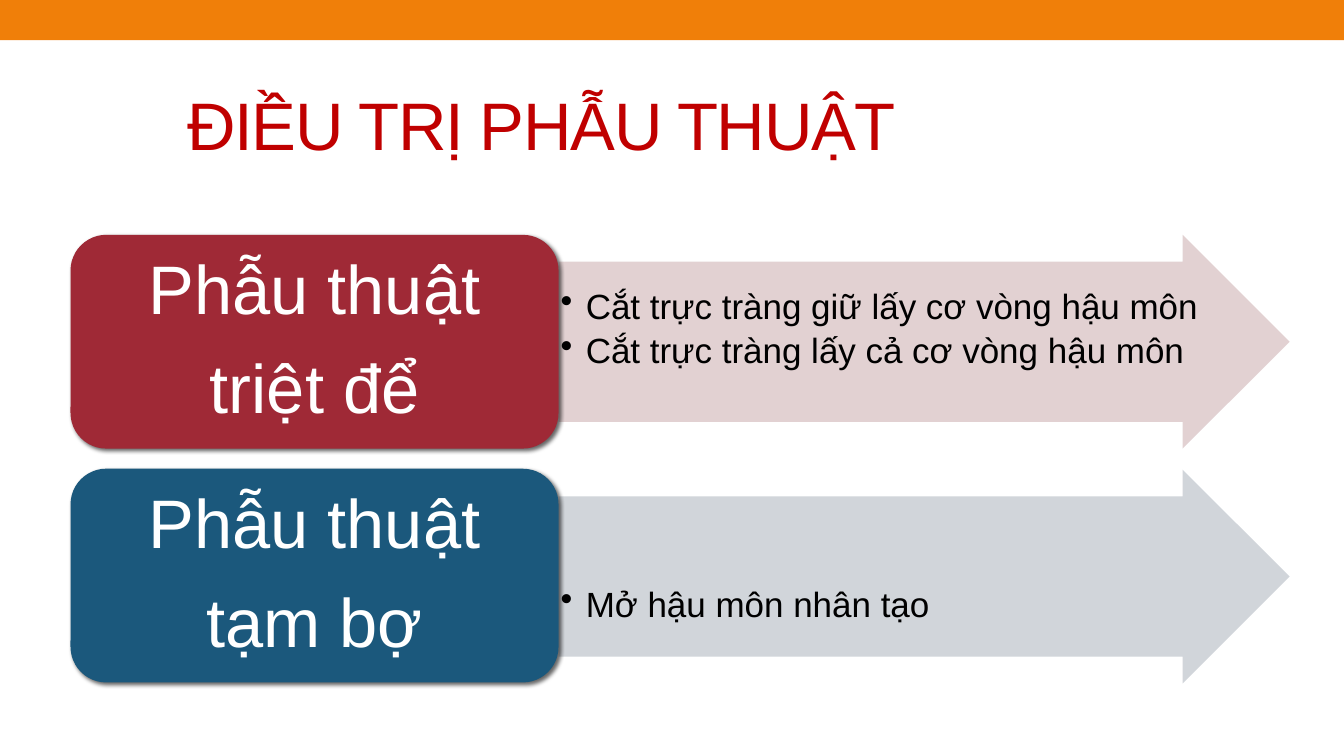
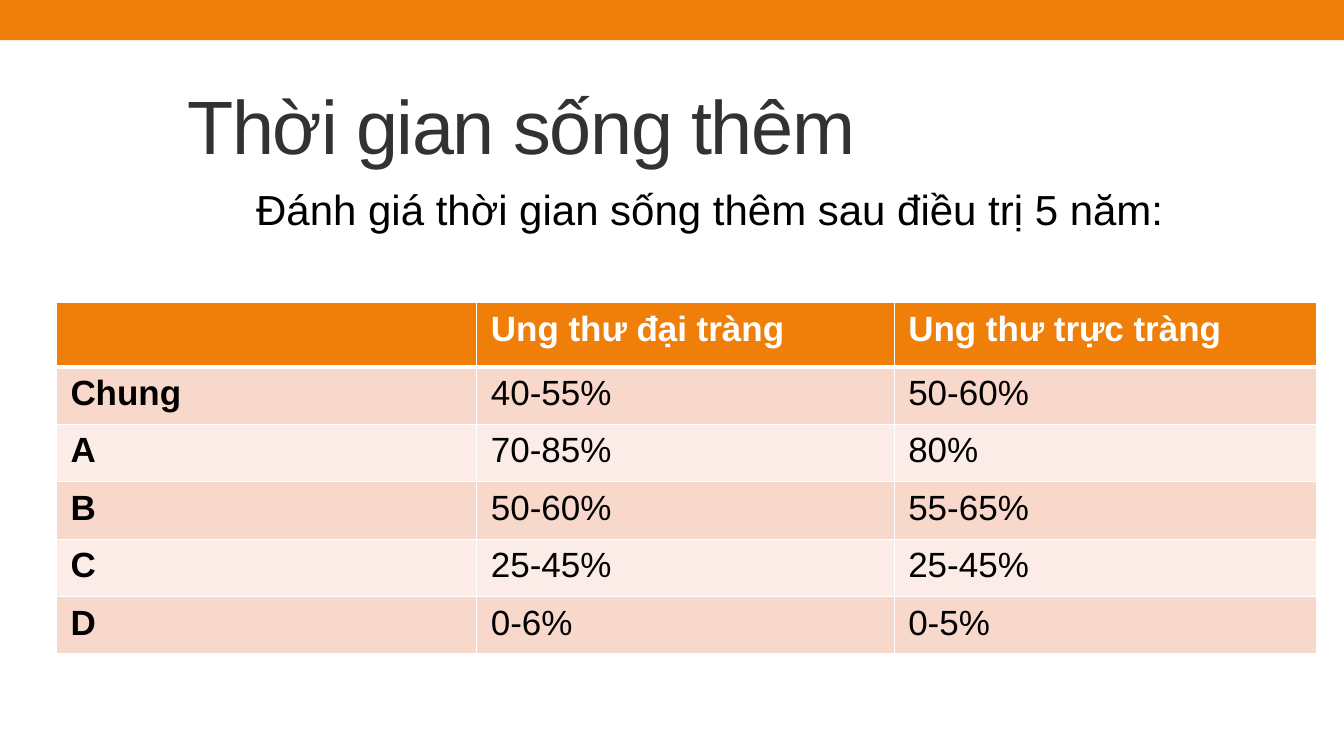
from lxml import etree
from pptx import Presentation
from pptx.dml.color import RGBColor
from pptx.enum import shapes, text
from pptx.oxml import ns
from pptx.util import Inches, Pt

ORANGE = RGBColor(0xF0, 0x7F, 0x09)
RED = RGBColor(0xC0, 0x00, 0x00)
CHARCOAL = RGBColor(0x32, 0x32, 0x32)
BLACK = RGBColor(0x00, 0x00, 0x00)
WHITE = RGBColor(0xFF, 0xFF, 0xFF)
CRIMSON = RGBColor(0x9F, 0x29, 0x36)
PALE_RED = RGBColor(0xDF, 0xCD, 0xCE)
NAVY = RGBColor(0x1B, 0x58, 0x7C)
PALE_BLUE = RGBColor(0xCC, 0xD1, 0xD7)
ROW_DARK = RGBColor(0xF9, 0xD8, 0xCC)
ROW_LIGHT = RGBColor(0xFC, 0xEC, 0xE7)

TITLE_LAYOUT, CONTENT_LAYOUT = 5, 1
LEFT = text.PP_ALIGN.LEFT
CENTER = text.PP_ALIGN.CENTER
TOP = text.MSO_ANCHOR.TOP
MIDDLE = text.MSO_ANCHOR.MIDDLE


def set_all(target, values):
    """Set each named attribute of the target."""
    for name, value in values.items():
        setattr(target, name, value)


def add_xml(parent, tag, **attributes):
    """Append a DrawingML element and return it."""
    values = {name: str(value) for name, value in attributes.items()}
    return etree.SubElement(parent, ns.qn(tag), values)


class Deck:
    """Hold the shared style and the current slide."""

    font_name = "Arial"

    def __init__(self):
        self.presentation = Presentation()
        self.presentation.slide_width = Inches(13.33)
        self.presentation.slide_height = Inches(7.5)
        self.slide = None

    def add_slide(self, layout):
        """Start a slide from the numbered layout."""
        layouts = self.presentation.slide_layouts
        self.slide = self.presentation.slides.add_slide(layouts[layout])

    def add_master_band(self):
        """Place the top band behind everything on the master."""
        band = self.add_shape(shapes.MSO_SHAPE.RECTANGLE, (0, 0, 13.33, 0.4), ORANGE)
        self.presentation.slide_master.shapes.element.insert(2, band.element)

    def place(self, shape, box):
        """Move and size a shape in inches."""
        names = ("left", "top", "width", "height")
        set_all(shape, dict(zip(names, map(Inches, box))))

    def add_shape(self, kind, box, color):
        """Add a flat shape without an outline."""
        shape = self.slide.shapes.add_shape(kind, *map(Inches, box))
        shape.shadow.inherit = False
        shape.fill.solid()
        shape.fill.fore_color.rgb = color
        shape.line.fill.background()
        return shape

    def format_frame(self, frame, anchor, across, down):
        """Set the anchor and insets of a text frame."""
        set_all(frame, {
            "word_wrap": True, "auto_size": text.MSO_AUTO_SIZE.NONE,
            "vertical_anchor": anchor,
            "margin_left": Inches(across), "margin_right": Inches(across),
            "margin_top": Inches(down), "margin_bottom": Inches(down),
        })

    def add_text(self, paragraph, content, size, color, bold=False, **layout):
        """Add one formatted run to a paragraph."""
        set_all(paragraph, layout)
        run = paragraph.add_run()
        run.text = content
        set_all(run.font, {"name": self.font_name, "size": Pt(size), "bold": bold})
        run.font.color.rgb = color
        return run

    def add_lines(self, frame, lines, size, color, spacings, bullet=False, **layout):
        """Add one paragraph for each line, with its own line spacing."""
        for index, (line, spacing) in enumerate(zip(lines, spacings)):
            paragraph = frame.add_paragraph() if index else frame.paragraphs[0]
            if bullet:
                self.add_bullet(paragraph)
            self.add_text(paragraph, line, size, color, line_spacing=spacing, **layout)

    def add_bullet(self, paragraph):
        """Give a paragraph a hanging bullet."""
        properties = paragraph._p.get_or_add_pPr()
        properties.set("marL", str(Inches(0.25)))
        properties.set("indent", str(-Inches(0.25)))
        add_xml(properties, "a:buChar", char="•")

    def add_title(self, content, size, color):
        """Fill the title placeholder."""
        title = self.slide.shapes.title
        self.place(title, (1.76, 0.53, 9.75, 1.4))
        self.format_frame(title.text_frame, MIDDLE, 0.1, 0.05)
        run = self.add_text(title.text_frame.paragraphs[0], content, size, color,
                            alignment=LEFT)
        run._r.get_or_add_rPr().set("spc", "-100")

    def add_body(self, content, box):
        """Fill the body placeholder with one unbulleted line."""
        body = self.slide.placeholders[1]
        self.place(body, box)
        self.format_frame(body.text_frame, TOP, 0.1, 0.05)
        paragraph = body.text_frame.paragraphs[0]
        properties = paragraph._p.get_or_add_pPr()
        properties.set("marL", "0")
        properties.set("indent", "0")
        add_xml(properties, "a:buNone")
        self.add_text(paragraph, content, 30, BLACK, space_before=Pt(0))

    def add_arrow(self, top, color, items, spacings):
        """Add a translucent arrow with bulleted text."""
        arrow = self.add_shape(shapes.MSO_SHAPE.RIGHT_ARROW,
                               (5.54, top, 7.25, 2.12), color)
        arrow.adjustments[0] = 0.75
        arrow.adjustments[1] = 0.5
        fill_color = arrow.element.spPr.find(".//" + ns.qn("a:srgbClr"))
        add_xml(fill_color, "a:alpha", val=90000)
        self.format_frame(arrow.text_frame, TOP, 0.02, 0.02)
        self.add_lines(arrow.text_frame, items, 25, BLACK, spacings, bullet=True,
                       level=1, alignment=LEFT, space_after=Pt(5))

    def add_label(self, top, color, lines):
        """Add a rounded label with a soft shadow."""
        label = self.add_shape(shapes.MSO_SHAPE.ROUNDED_RECTANGLE,
                               (0.7, top, 4.84, 2.12), color)
        effects = label.element.spPr.find(ns.qn("a:effectLst"))
        shadow = add_xml(effects, "a:outerShdw", blurRad=Pt(3), dist=Pt(2),
                         dir=45 * 60000, rotWithShape=0)
        shadow_color = add_xml(shadow, "a:srgbClr", val=BLACK)
        add_xml(shadow_color, "a:alpha", val=60000)
        self.format_frame(label.text_frame, MIDDLE, 0.2, 0.1)
        self.add_lines(label.text_frame, lines, 49, WHITE, [0.9] * len(lines),
                       alignment=CENTER, space_after=Pt(18))

    def add_borders(self, cell, top, bottom):
        """Draw white cell borders, with top and bottom widths in points."""
        properties = cell._tc.get_or_add_tcPr()
        for side, width in (("L", 1), ("R", 1), ("T", top), ("B", bottom)):
            line = add_xml(properties, f"a:ln{side}", w=Pt(width))
            add_xml(add_xml(line, "a:solidFill"), "a:srgbClr", val=WHITE)

    def add_table(self, rows, box, widths, heights):
        """Add a table with a header row and alternating body rows."""
        frame = self.slide.shapes.add_table(len(rows), len(widths), *map(Inches, box))
        table = frame.table
        table.horz_banding = False
        for column, width in zip(table.columns, widths):
            column.width = Inches(width)
        for row, height in zip(table.rows, heights):
            row.height = Inches(height)
        for row_index, row in enumerate(rows):
            header = row_index == 0
            fill = ORANGE if header else (ROW_LIGHT, ROW_DARK)[row_index % 2]
            for column_index, content in enumerate(row):
                cell = table.cell(row_index, column_index)
                set_all(cell, {
                    "margin_left": Inches(0.14), "margin_right": Inches(0.14),
                    "margin_top": Inches(0.07), "margin_bottom": Inches(0.07),
                })
                self.add_borders(cell, 3 if row_index == 1 else 1, 3 if header else 1)
                cell.fill.solid()
                cell.fill.fore_color.rgb = fill
                if content:
                    self.add_text(cell.text_frame.paragraphs[0], content, 25,
                                  WHITE if header else BLACK,
                                  bold=header or column_index == 0)


def build_surgery(deck):
    """Build the slide on surgical treatment."""
    deck.add_slide(TITLE_LAYOUT)
    deck.add_master_band()
    deck.add_title("ĐIỀU TRỊ PHẪU THUẬT", 48, RED)
    deck.add_arrow(2.33, PALE_RED, ["Cắt trực tràng giữ lấy cơ vòng hậu môn",
                                    "Cắt trực tràng lấy cả cơ vòng hậu môn"], [1.5, 0.9])
    deck.add_label(2.33, CRIMSON, ["Phẫu thuật", "triệt để"])
    deck.add_arrow(4.66, PALE_BLUE, ["Mở hậu môn nhân tạo"], [3.0])
    deck.add_label(4.65, NAVY, ["Phẫu thuật", "tạm bợ"])


def build_survival(deck):
    """Build the slide on survival time."""
    deck.add_slide(CONTENT_LAYOUT)
    deck.add_title("Thời gian sống thêm", 54, CHARCOAL)
    deck.add_body("Đánh giá thời gian sống thêm sau điều trị 5 năm:",
                  (2.44, 1.77, 10.89, 4.75))
    rows = [
        ("", "Ung thư đại tràng", "Ung thư trực tràng"),
        ("Chung", "40-55%", "50-60%"),
        ("A", "70-85%", "80%"),
        ("B", "50-60%", "55-65%"),
        ("C", "25-45%", "25-45%"),
        ("D", "0-6%", "0-5%"),
    ]
    deck.add_table(rows, (0.56, 3, 12.5, 3.49), (4.17, 4.14, 4.19), [0.64] + [0.57] * 5)


def main():
    """Build and save the presentation."""
    deck = Deck()
    build_surgery(deck)
    build_survival(deck)
    deck.presentation.save("out.pptx")


if __name__ == "__main__":
    main()
